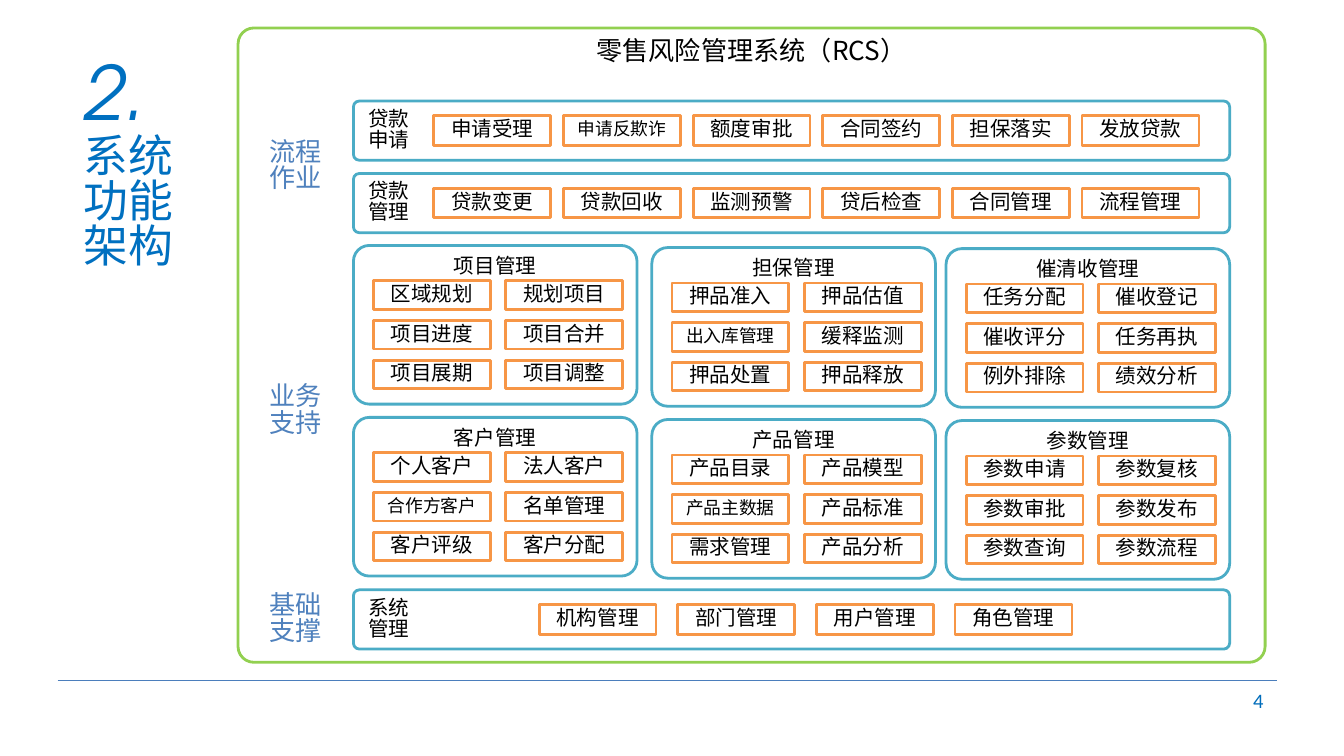
from lxml.etree import SubElement
from pptx import Presentation
from pptx.dml.color import RGBColor
from pptx.enum.shapes import MSO_CONNECTOR, MSO_SHAPE
from pptx.enum.text import MSO_ANCHOR, MSO_AUTO_SIZE, PP_ALIGN
from pptx.oxml.ns import qn
from pptx.util import Cm, Pt

CHINESE_FONT = "Noto Sans CJK SC"
BLACK, WHITE, BLUE = "000000", "FFFFFF", "0070C0"
GREEN, TEAL, ORANGE, LABEL_BLUE = "92D050", "4BACC6", "F79646", "4F81BD"

BLOCK_LEFT = 6.68
ROW_WIDTH, ROW_HEIGHT = 16.56, 1.12
PANEL_WIDTH, PANEL_HEIGHT = 5.36, 3.0
CELL_WIDTH = 2.21

# label lines, top, left of first cell, cell pitch, cells
ROWS = [
    (["系统", "管理"], 11.15, 10.19, 2.62,
     ["机构管理", "部门管理", "用户管理", "角色管理"]),
    (["贷款", "管理"], 3.28, 8.2, 2.45,
     ["贷款变更", "贷款回收", "监测预警", "贷后检查", "合同管理", "流程管理"]),
    (["贷款", "申请"], 1.91, 8.2, 2.45,
     ["申请受理", "申请反欺诈", "额度审批", "合同签约", "担保落实", "发放贷款"]),
]
PANEL_COLUMNS = [(BLOCK_LEFT, 4.64), (12.32, 4.68), (17.88, 4.7)]
PANEL_ROW_PITCH = 3.25
PANELS = [
    [("项目管理", ["区域规划", "规划项目", "项目进度", "项目合并", "项目展期", "项目调整"]),
     ("担保管理", ["押品准入", "押品估值", "出入库管理", "缓释监测", "押品处置", "押品释放"]),
     ("催清收管理", ["任务分配", "催收登记", "催收评分", "任务再执", "例外排除", "绩效分析"])],
    [("客户管理", ["个人客户", "法人客户", "合作方客户", "名单管理", "客户评级", "客户分配"]),
     ("产品管理", ["产品目录", "产品模型", "产品主数据", "产品标准", "需求管理", "产品分析"]),
     ("参数管理", ["参数申请", "参数复核", "参数审批", "参数发布", "参数查询", "参数流程"])],
]
# lines, top, height
LAYER_LABELS = [
    (["流程", "作业"], 1.91, 2.49),
    (["业务", "支持"], 4.65, 6.25),
    (["基础", "支撑"], 11.0, 1.42),
]


def color(value):
    return RGBColor.from_string(value)


class ArchitectureSlide:
    """Holds the slide and its common style; lengths are in centimetres."""

    def __init__(self, presentation):
        self.slide = presentation.slides.add_slide(presentation.slide_layouts[5])
        self.line_spacing = 0.84
        self.line_width = Pt(1.5)

    def add_run(self, paragraph, text, size, text_color, font=CHINESE_FONT, italic=False):
        run = paragraph.add_run()
        run.text = text
        run.font.size = Pt(size)
        run.font.name = font
        run.font.italic = italic
        run.font.color.rgb = color(text_color)
        SubElement(run.font._element, qn("a:ea"), typeface=font)

    def add_lines(self, shape, lines, size, text_color, alignment, anchor, font=CHINESE_FONT):
        frame = shape.text_frame
        frame.word_wrap = True
        frame.vertical_anchor = anchor
        for index, line in enumerate(lines):
            paragraph = frame.add_paragraph() if index else frame.paragraphs[0]
            paragraph.alignment = alignment
            paragraph.line_spacing = self.line_spacing
            self.add_run(paragraph, line, size, text_color, font)

    def title(self, number, lines):
        title = self.slide.shapes.title
        title.left, title.top, title.width, title.height = Cm(1.32), Cm(1.02), Cm(2.51), Cm(5.08)
        frame = title.text_frame
        frame.auto_size = MSO_AUTO_SIZE.NONE
        frame.vertical_anchor = MSO_ANCHOR.TOP
        paragraph = frame.paragraphs[0]
        paragraph.alignment = PP_ALIGN.LEFT
        paragraph.line_spacing = self.line_spacing
        self.add_run(paragraph, number, 40, BLUE, "TeX Gyre Adventor", italic=True)
        for line in lines:
            line_break = SubElement(paragraph._p, qn("a:br"))
            SubElement(line_break, qn("a:rPr"), sz="2400")
            self.add_run(paragraph, line, 24, BLUE)

    def box(self, shapes, kind, left, top, width, height, line_color):
        shape = shapes.add_shape(kind, Cm(left), Cm(top), Cm(width), Cm(height))
        shape.shadow.inherit = False
        shape.fill.solid()
        shape.fill.fore_color.rgb = color(WHITE)
        shape.line.color.rgb = color(line_color)
        shape.line.width = self.line_width
        return shape

    def frame(self, shapes, left, top, width, height, line_color, rounding):
        shape = self.box(shapes, MSO_SHAPE.ROUNDED_RECTANGLE, left, top, width, height, line_color)
        shape.adjustments[0] = rounding
        return shape

    def cell(self, shapes, text, left, top, height):
        shape = self.box(shapes, MSO_SHAPE.RECTANGLE, left, top, CELL_WIDTH, height, ORANGE)
        shape.text_frame.margin_left = shape.text_frame.margin_right = Cm(0.1)
        size = 11 if len(text) <= 4 else 9.5
        self.add_lines(shape, [text], size, BLACK, PP_ALIGN.CENTER, MSO_ANCHOR.MIDDLE)

    def system(self, name):
        shape = self.frame(self.slide.shapes, 4.5, 0.53, 19.41, 11.99, GREEN, 0.025)
        self.add_lines(shape, [name], 14, BLACK, PP_ALIGN.CENTER, MSO_ANCHOR.TOP)

    def row(self, label, top, first_left, pitch, cells):
        shapes = self.slide.shapes.add_group_shape().shapes
        shape = self.frame(shapes, BLOCK_LEFT, top, ROW_WIDTH, ROW_HEIGHT, TEAL, 0.1)
        self.add_lines(shape, label, 11, BLACK, PP_ALIGN.LEFT, MSO_ANCHOR.MIDDLE)
        for index, text in enumerate(cells):
            self.cell(shapes, text, first_left + index * pitch, top + 0.28, 0.56)

    def panel(self, heading, left, top, cells):
        shapes = self.slide.shapes.add_group_shape().shapes
        shape = self.frame(shapes, left, top, PANEL_WIDTH, PANEL_HEIGHT, TEAL, 0.1)
        self.add_lines(shape, [heading], 11, BLACK, PP_ALIGN.CENTER, MSO_ANCHOR.TOP)
        for index, text in enumerate(cells):
            row, column = divmod(index, 2)
            self.cell(shapes, text, left + 0.38 + column * 2.5, top + 0.67 + row * 0.75, 0.54)

    def label(self, lines, left, top, width, height, size, text_color,
              alignment=PP_ALIGN.CENTER, font=CHINESE_FONT):
        shape = self.slide.shapes.add_textbox(Cm(left), Cm(top), Cm(width), Cm(height))
        self.add_lines(shape, lines, size, text_color, alignment, MSO_ANCHOR.MIDDLE, font)

    def rule(self, left, right, top):
        line = self.slide.shapes.add_connector(
            MSO_CONNECTOR.STRAIGHT, Cm(left), Cm(top), Cm(right), Cm(top))
        line.line.color.rgb = color("4B7EBC")
        line.line.width = Pt(0.75)
        SubElement(line._element.spPr, qn("a:effectLst"))


def main():
    presentation = Presentation()
    presentation.slide_width, presentation.slide_height = Cm(25.4), Cm(14.29)
    slide = ArchitectureSlide(presentation)
    slide.rule(1.09, 24.13, 12.86)
    slide.title("2.", ["系统", "功能", "架构"])
    slide.label(["4"], 18.21, 12.9, 5.92, 0.76, 11, "006DBB", PP_ALIGN.RIGHT, "Calibri")
    slide.system("零售风险管理系统（RCS）")
    for row in ROWS:
        slide.row(*row)
    for row_index, panels in enumerate(PANELS):
        for (left, top), (heading, cells) in zip(PANEL_COLUMNS, panels):
            slide.panel(heading, left, top + row_index * PANEL_ROW_PITCH, cells)
    for lines, top, height in LAYER_LABELS:
        slide.label(lines, 4.6, top, 1.98, height, 14, LABEL_BLUE)
    presentation.save("out.pptx")


if __name__ == "__main__":
    main()
